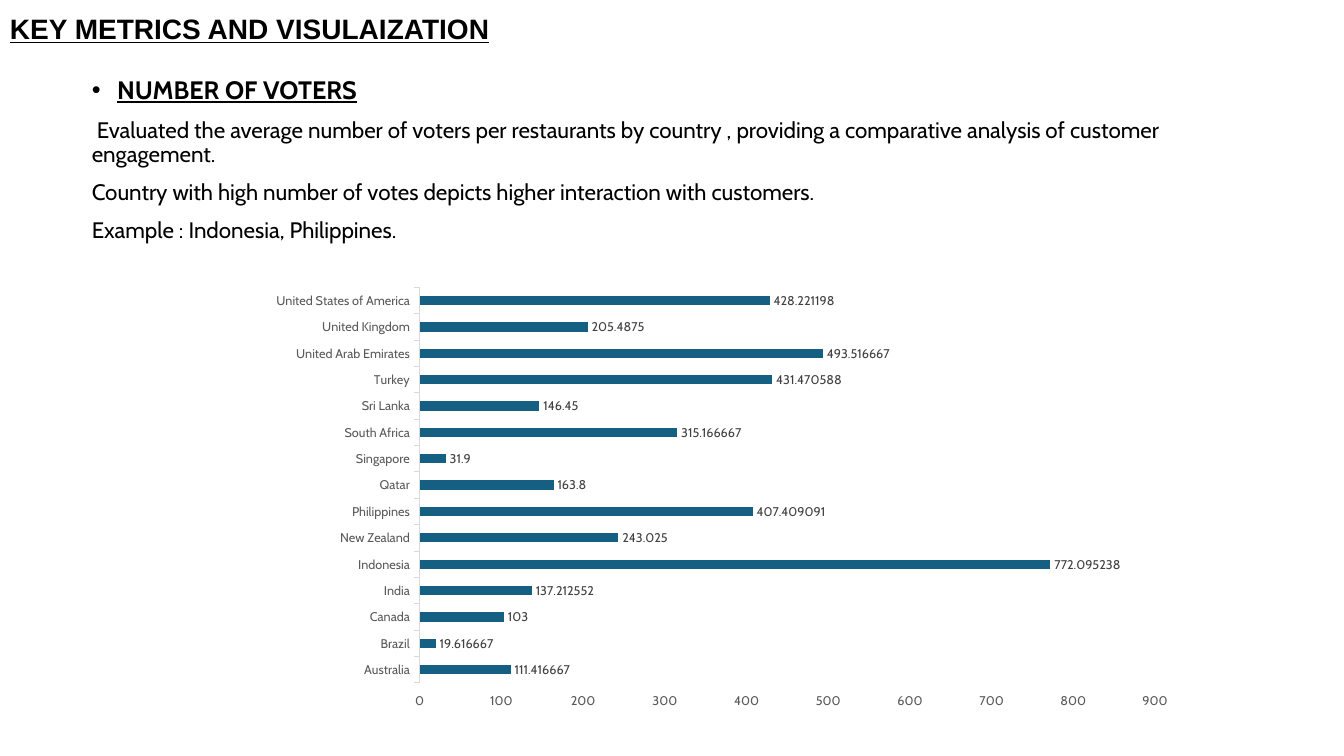
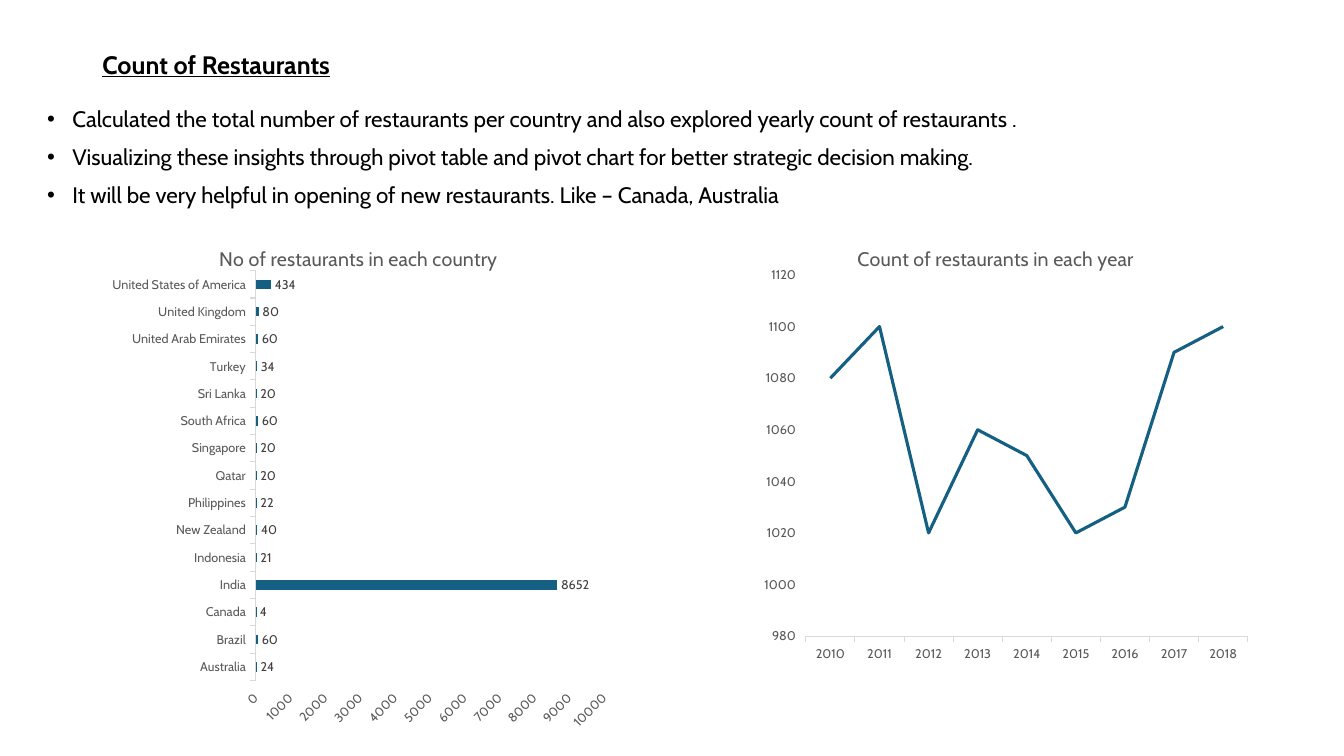
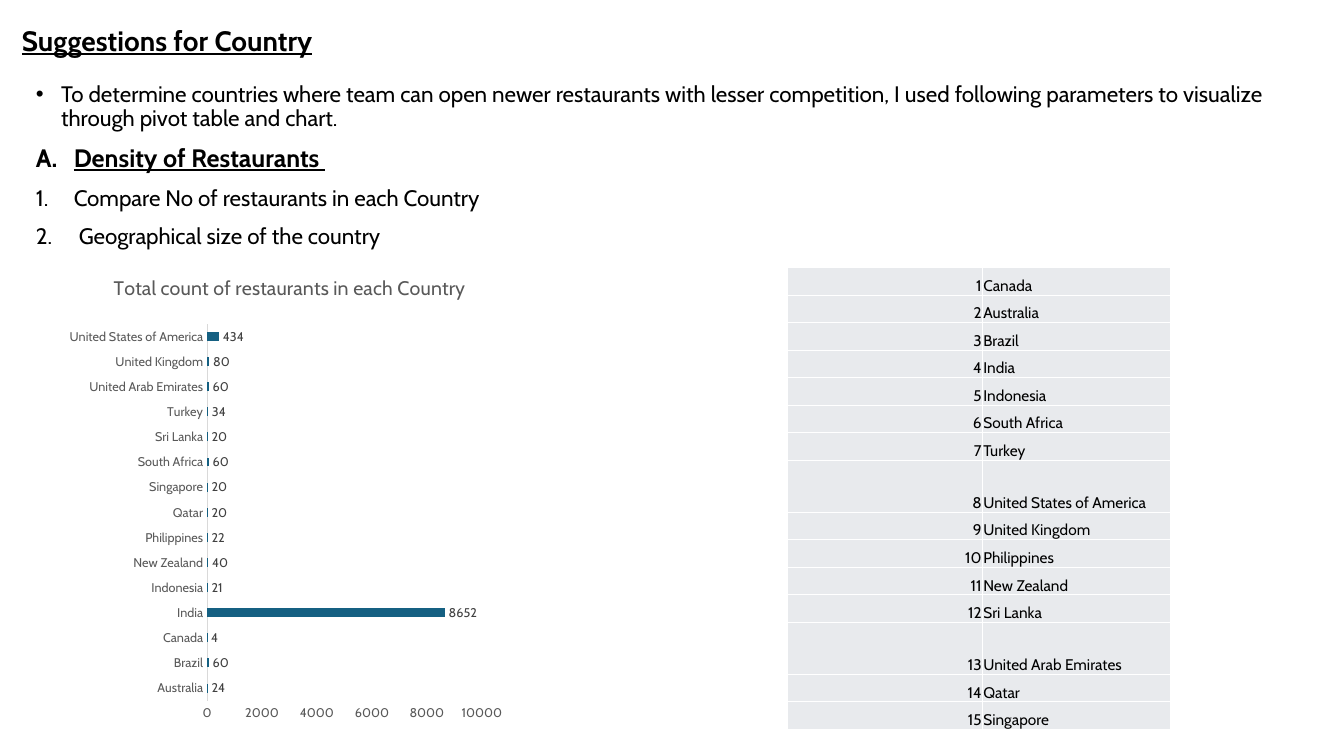
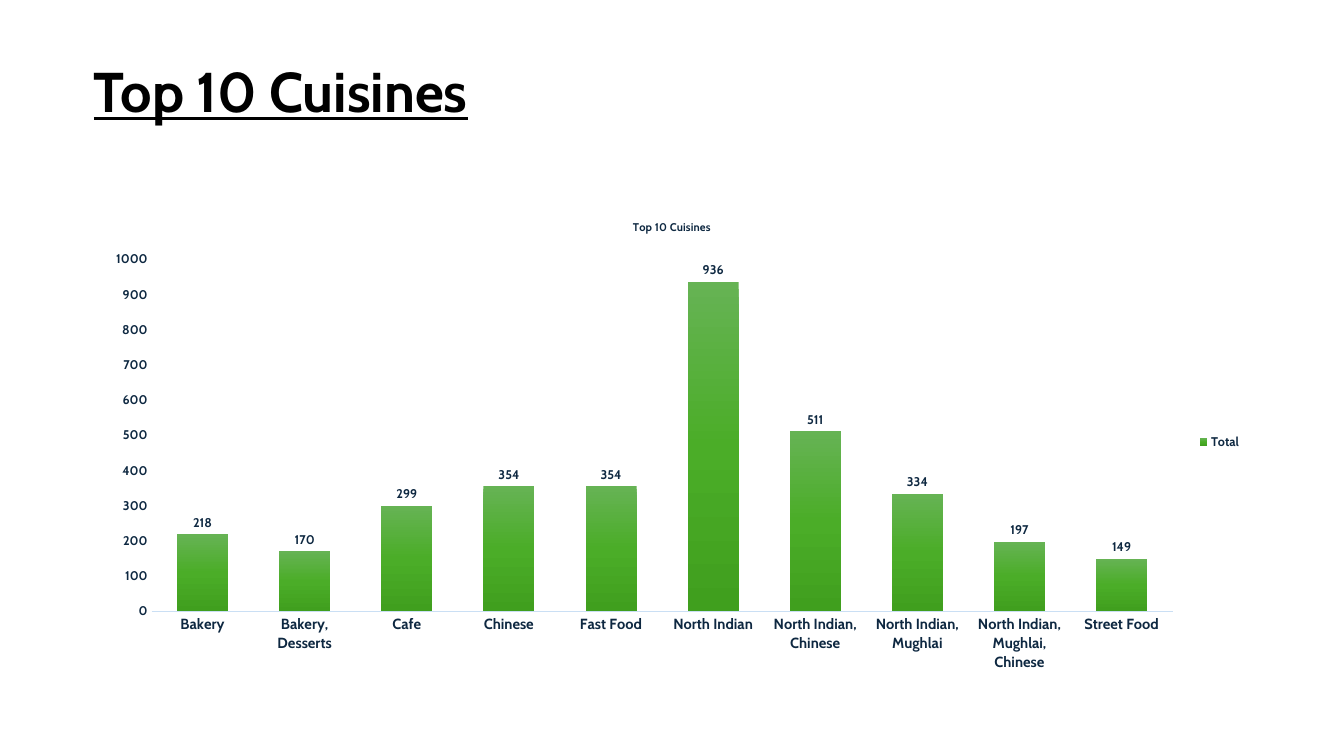
from dataclasses import dataclass

import pptx
import pptx.chart.data
import pptx.dml.color
import pptx.enum.chart
import pptx.enum.shapes
import pptx.enum.text
import pptx.oxml
import pptx.oxml.ns
import pptx.util

Pt = pptx.util.Pt
ChartKind = pptx.enum.chart.XL_CHART_TYPE
TickMark = pptx.enum.chart.XL_TICK_MARK


@dataclass(frozen=True)
class ChartLook:
    axis_text: str
    label_text: str
    axis_line: str
    title_size: float
    category_size: float
    bold: bool


@dataclass(frozen=True)
class Theme:
    font: str = "Cabin"
    heading_font: str = "Arial"
    ink: str = "000000"
    paper: str = "FFFFFF"
    cell: str = "E8EAED"
    series: str = "156082"
    greens: tuple = ((0, "66B354"), (50, "4BAD28"), (100, "409F1E"))
    title_small: float = 18
    title_medium: float = 20
    title_large: float = 40
    subhead: float = 18
    body: float = 16
    table: float = 11
    chart: float = 10
    axis: float = 9
    plain: ChartLook = ChartLook("595959", "404040", "D9D9D9", 14, 9, False)
    strong: ChartLook = ChartLook("0E2841", "0E2841", "CADFF4", 8, 10.5, True)


THEME = Theme()

COUNTRIES = [
    "Australia", "Brazil", "Canada", "India", "Indonesia", "New Zealand",
    "Philippines", "Qatar", "Singapore", "South Africa", "Sri Lanka", "Turkey",
    "United Arab Emirates", "United Kingdom", "United States of America",
]
VOTES = [
    111.416667, 19.616667, 103, 137.212552, 772.095238, 243.025, 407.409091,
    163.8, 31.9, 315.166667, 146.45, 431.470588, 493.516667, 205.4875, 428.221198,
]
RESTAURANTS = [24, 60, 4, 8652, 21, 40, 22, 20, 20, 60, 20, 34, 60, 80, 434]
YEARS = [str(year) for year in range(2010, 2019)]
OPENINGS = [1080, 1100, 1020, 1060, 1050, 1020, 1030, 1090, 1100]
CUISINES = {
    "Bakery": 218, "Bakery, Desserts": 170, "Cafe": 299, "Chinese": 354,
    "Fast Food": 354, "North Indian": 936, "North Indian, Chinese": 511,
    "North Indian, Mughlai": 334, "North Indian, Mughlai, Chinese": 197,
    "Street Food": 149,
}
BY_SIZE = [
    "Canada", "Australia", "Brazil", "India", "Indonesia", "South Africa",
    "Turkey", "United States of America", "United Kingdom", "Philippines",
    "New Zealand", "Sri Lanka", "United Arab Emirates", "Qatar", "Singapore",
]
TALL_ROWS = {"United States of America", "United Arab Emirates"}

BULLETS = {
    "•": ("buChar", 'char="•"', 18),
    "A.": ("buAutoNum", 'type="alphaUcPeriod"', 27),
    "1.": ("buAutoNum", 'type="arabicPeriod"', 27),
}


def colour(value):
    return pptx.dml.color.RGBColor.from_string(value)


def xml(tag, attributes="", inside=""):
    spaces = pptx.oxml.ns.nsdecls("a", "c")
    return pptx.oxml.parse_xml(f"<{tag} {spaces} {attributes}>{inside}</{tag}>")


def set_font(font, size, tint, bold=False, name=THEME.font):
    font.name = name
    font.size = Pt(size)
    font.bold = bold
    font.color.rgb = colour(tint)


def place(box):
    return [Pt(length) for length in box]


def add_text(page, box):
    frame = page.shapes.add_textbox(*place(box)).text_frame
    frame.word_wrap = True
    return frame


def add_title(page, box, text, size, name=THEME.font):
    frame = add_text(page, box)
    frame.vertical_anchor = pptx.enum.text.MSO_ANCHOR.MIDDLE
    frame.text = text
    para = frame.paragraphs[0]
    para.line_spacing = 0.9
    font = para.runs[0].font
    set_font(font, size, THEME.ink, True, name)
    font.underline = True


def add_body(page, box, lines):
    """Each line is (bullet or None, text, whether it is a subhead)."""
    frame = add_text(page, box)
    for index, (bullet, text, subhead) in enumerate(lines):
        para = frame.add_paragraph() if index else frame.paragraphs[0]
        para.text = text
        para.line_spacing = 0.9
        para.space_before = Pt(10)
        font = para.runs[0].font
        set_font(font, THEME.subhead if subhead else THEME.body, THEME.ink, subhead)
        font.underline = subhead
        if bullet:
            tag, attributes, indent = BULLETS[bullet]
            settings = para._p.get_or_add_pPr()
            settings.set("marL", str(Pt(indent)))
            settings.set("indent", str(-Pt(indent)))
            settings.append(xml("a:buFont", 'typeface="Arial"' if bullet == "•"
                                else f'typeface="{THEME.font}"'))
            settings.append(xml(f"a:{tag}", attributes))


def set_plot_area(chart, fractions):
    """Fix the inner plot area as fractions (x, y, w, h) of the chart."""
    area = chart._chartSpace.chart.plotArea
    for old in area.findall(pptx.oxml.ns.qn("c:layout")):
        area.remove(old)
    parts = '<c:layoutTarget val="inner"/><c:xMode val="edge"/><c:yMode val="edge"/>'
    parts += "".join(f'<c:{key} val="{part}"/>' for key, part in zip("xywh", fractions))
    area.insert(0, xml("c:layout", "", f"<c:manualLayout>{parts}</c:manualLayout>"))


def style_axes(chart, look, scale, tick):
    category, value = chart.category_axis, chart.value_axis
    value.minimum_scale, value.maximum_scale, value.major_unit = scale
    for axis, size in ((category, look.category_size), (value, THEME.axis)):
        axis.has_major_gridlines = False
        axis.major_tick_mark = tick
        axis.minor_tick_mark = TickMark.NONE
        set_font(axis.tick_labels.font, size, look.axis_text, look.bold)
    category.format.line.color.rgb = colour(look.axis_line)
    category.format.line.width = Pt(0.75)
    value.format.line.fill.background()


def add_chart(page, box, kind, names, values, plot_area, scale, title=None,
              tick=TickMark.OUTSIDE, look=THEME.plain, series_name="Series 1"):
    data = pptx.chart.data.CategoryChartData()
    data.categories = names
    data.add_series(series_name, values)
    chart = page.shapes.add_chart(kind, *place(box), data).chart
    set_font(chart.font, THEME.chart, THEME.ink)
    chart.has_legend = False
    chart.has_title = title is not None
    if title:
        frame = chart.chart_title.text_frame
        frame.text = title
        set_font(frame.paragraphs[0].runs[0].font, look.title_size,
                 look.axis_text, look.bold)
    set_plot_area(chart, plot_area)
    style_axes(chart, look, scale, tick)
    chart.plots[0].vary_by_categories = False
    return chart


def add_bars(page, box, kind, names, values, *rest, gap=182, **options):
    chart = add_chart(page, box, kind, names, values, *rest, **options)
    look = options.get("look", THEME.plain)
    plot = chart.plots[0]
    plot.gap_width = gap
    fill = plot.series[0].format.fill
    fill.solid()
    fill.fore_color.rgb = colour(THEME.series)
    plot.has_data_labels = True
    labels = plot.data_labels
    labels.show_value = True
    labels.position = pptx.enum.chart.XL_LABEL_POSITION.OUTSIDE_END
    set_font(labels.font, THEME.axis, look.label_text, look.bold)
    return chart


def add_line(page, box, *rest, **options):
    chart = add_chart(page, box, ChartKind.LINE, *rest, **options)
    series = chart.plots[0].series[0]
    series.smooth = False
    series.marker.style = pptx.enum.chart.XL_MARKER_STYLE.NONE
    series.format.line.color.rgb = colour(THEME.series)
    series.format.line.width = Pt(2.25)


def fill_gradient(series, stops):
    fill = series.format.fill
    fill.gradient()
    fill.gradient_angle = 270
    listing = series._element.find(".//" + pptx.oxml.ns.qn("a:gsLst"))
    for old in list(listing):
        listing.remove(old)
    for percent, tint in stops:
        listing.append(xml("a:gs", f'pos="{percent * 1000}"', f'<a:srgbClr val="{tint}"/>'))


def style_cell(cell, text, align):
    cell.text = text
    cell.vertical_anchor = pptx.enum.text.MSO_ANCHOR.BOTTOM
    cell.margin_left = cell.margin_right = cell.margin_top = Pt(0.6)
    cell.margin_bottom = 0
    cell.fill.solid()
    cell.fill.fore_color.rgb = colour(THEME.cell)
    para = cell.text_frame.paragraphs[0]
    para.alignment = align
    set_font(para.runs[0].font, THEME.table, THEME.ink)
    settings = cell._tc.get_or_add_tcPr()
    line = f'<a:solidFill><a:srgbClr val="{THEME.paper}"/></a:solidFill>'
    for index, side in enumerate("LRTB"):
        settings.insert(index, xml(f"a:ln{side}", f'w="{Pt(1)}"', line))


def add_ranking(page, left, top, names):
    widths = (139.7, 134.6)
    heights = [37.1 if name in TALL_ROWS else 19.7 for name in names]
    box = (left, top, sum(widths), sum(heights))
    table = page.shapes.add_table(len(names), len(widths), *place(box)).table
    table.first_row = table.horz_banding = False
    for column, width in zip(table.columns, widths):
        column.width = Pt(width)
    align = pptx.enum.text.PP_ALIGN
    for index, (name, height) in enumerate(zip(names, heights)):
        table.rows[index].height = Pt(height)
        style_cell(table.cell(index, 0), str(index + 1), align.RIGHT)
        style_cell(table.cell(index, 1), name, align.LEFT)


def build_voters(page):
    add_title(page, (0, 0, 828, 43.2), "KEY METRICS AND VISULAIZATION",
              THEME.title_medium, THEME.heading_font)
    add_body(page, (58.5, 52, 863, 474.5), [
        ("•", "NUMBER OF VOTERS", True),
        (None, " Evaluated the average number of voters per restaurants by country , "
               "providing a comparative analysis of customer engagement.", False),
        (None, "Country with high number of votes depicts higher interaction "
               "with customers.", False),
        (None, "Example : Indonesia, Philippines.", False),
    ])
    add_bars(page, (58.1, 180.5, 819.4, 335.5), ChartKind.BAR_CLUSTERED, COUNTRIES,
             VOTES, (0.295, 0.074, 0.641, 0.842), (0, 900, 100))


def build_counts(page):
    add_title(page, (66.1, 28.8, 828, 36.7), "Count of Restaurants", THEME.title_small)
    add_body(page, (26.6, 73.7, 919.4, 448.6), [
        ("•", "Calculated the total number of restaurants per country and also "
              "explored yearly count of restaurants .", False),
        ("•", "Visualizing these insights through pivot table and pivot chart for "
              "better strategic decision making.", False),
        ("•", "It will be very helpful in opening of new restaurants. "
              "Like – Canada, Australia", False),
    ])
    bars = add_bars(page, (48.2, 161.7, 419, 368.6), ChartKind.BAR_CLUSTERED, COUNTRIES,
                    RESTAURANTS, (0.321, 0.086, 0.594, 0.794), (0, 10000, 1000),
                    title="No of restaurants in each country ")
    slant = bars.value_axis._element.find(".//" + pptx.oxml.ns.qn("a:bodyPr"))
    slant.set("rot", str(-45 * 60000))
    add_line(page, (528.4, 161.8, 365.8, 339.5), YEARS, OPENINGS,
             (0.129, 0.102, 0.863, 0.76), (980, 1120, 20),
             title="Count of restaurants in each year")


def build_suggestions(page):
    add_title(page, (8.6, 12.2, 828, 36), "Suggestions for Country", THEME.title_medium)
    add_body(page, (18.6, 56, 923, 465.8), [
        ("•", "To determine countries where team can open newer restaurants with "
              "lesser competition, I used following parameters to visualize through "
              "pivot table and chart.", False),
        ("A.", "Density of Restaurants ", True),
        ("1.", "Compare No of restaurants in each Country", False),
        ("1.", " Geographical size of the country", False),
    ])
    add_bars(page, (41.8, 182.5, 330.5, 339.1), ChartKind.BAR_CLUSTERED, COUNTRIES,
             RESTAURANTS, (0.321, 0.144, 0.594, 0.794), (0, 10000, 2000),
             title="Total count of restaurants in each Country", tick=TickMark.NONE)
    add_ranking(page, 562.1, 191.1, BY_SIZE)


def build_cuisines(page):
    band = page.shapes.add_shape(pptx.enum.shapes.MSO_SHAPE.RECTANGLE,
                                 *place((0, 0, 960, 134)))
    band.shadow.inherit = False
    band.fill.solid()
    band.fill.fore_color.rgb = colour(THEME.paper)
    band.line.fill.background()
    add_title(page, (60, 21.8, 825, 91.4), "Top 10 Cuisines", THEME.title_large)
    look = THEME.strong
    chart = add_bars(page, (66, 144.3, 828, 342.7), ChartKind.COLUMN_CLUSTERED,
                     list(CUISINES), list(CUISINES.values()),
                     (0.051, 0.119, 0.881, 0.734), (0, 1000, 100),
                     title="Top 10 Cuisines", tick=TickMark.NONE, look=look,
                     series_name="Total", gap=100)
    plot = chart.plots[0]
    plot.overlap = -24
    fill_gradient(plot.series[0], THEME.greens)
    chart.has_legend = True
    chart.legend.position = pptx.enum.chart.XL_LEGEND_POSITION.RIGHT
    chart.legend.include_in_layout = False
    set_font(chart.legend.font, THEME.axis, look.axis_text, look.bold)


def main():
    deck = pptx.Presentation()
    deck.slide_width, deck.slide_height = Pt(960), Pt(540)
    blank = deck.slide_layouts[6]
    for build in (build_voters, build_counts, build_suggestions, build_cuisines):
        build(deck.slides.add_slide(blank))
    deck.save("out.pptx")


if __name__ == "__main__":
    main()
